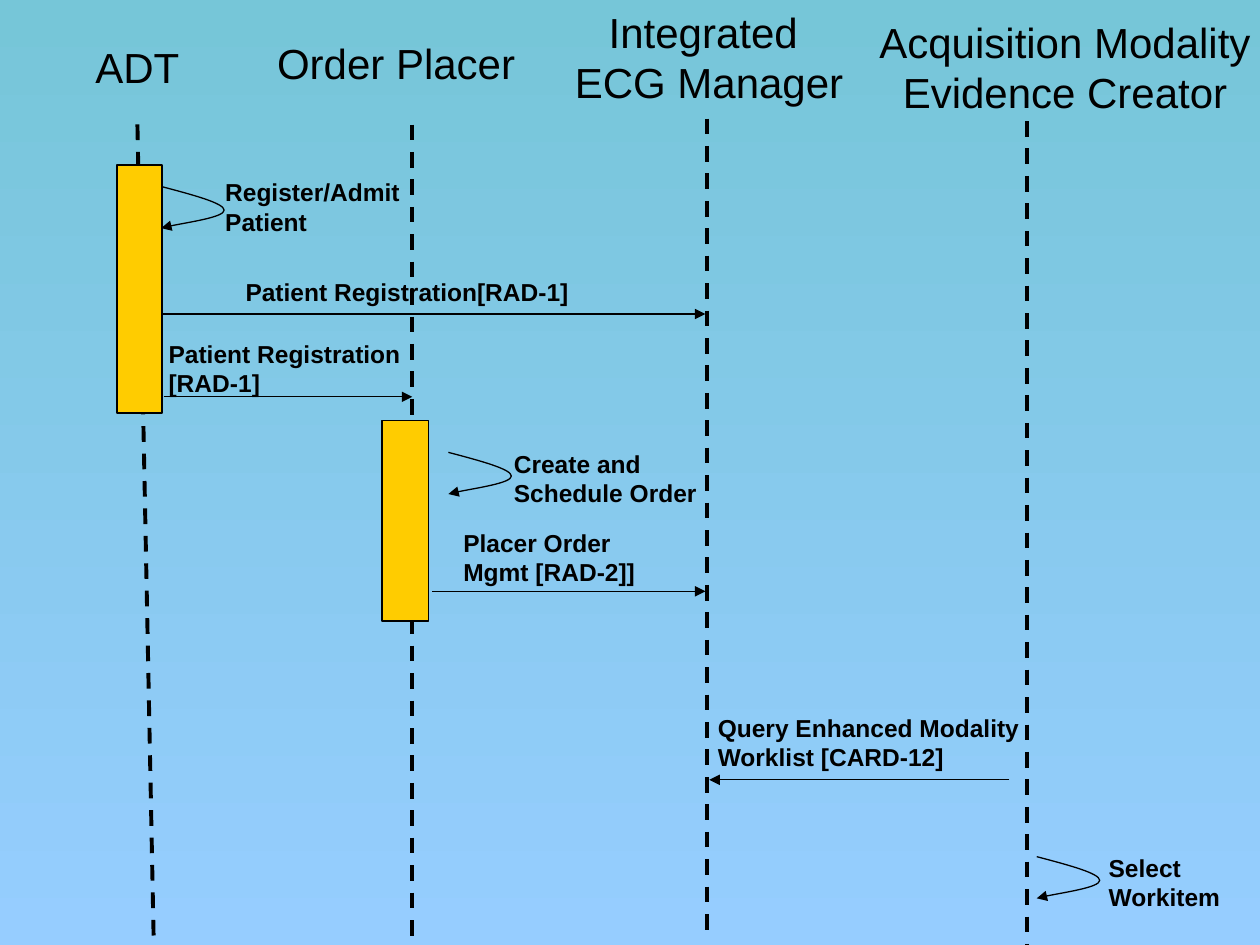
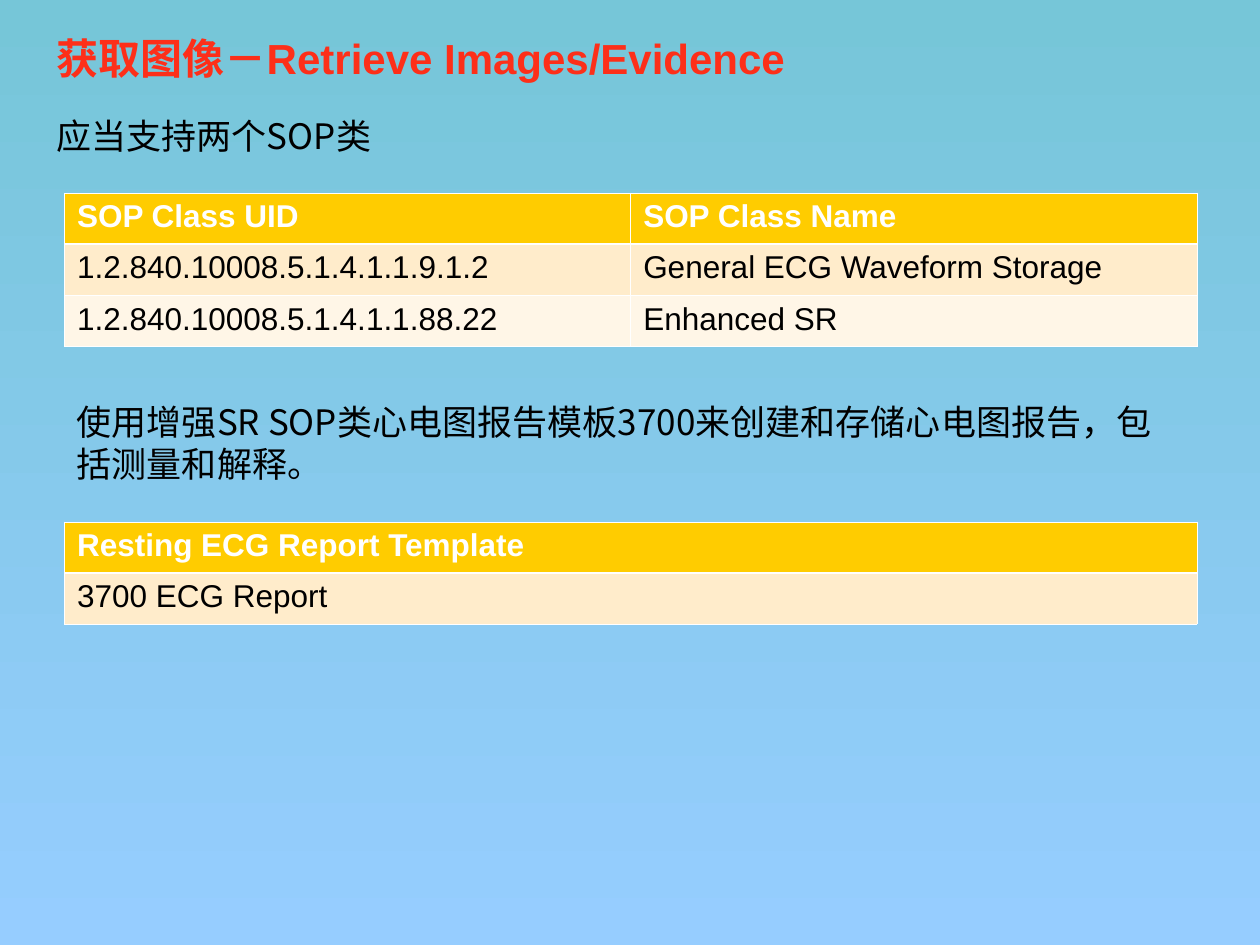
from dataclasses import dataclass
from typing import NamedTuple

from lxml.etree import SubElement
from pptx import Presentation
from pptx.dml.color import RGBColor
from pptx.enum.dml import MSO_LINE_DASH_STYLE as Dash
from pptx.enum.shapes import MSO_CONNECTOR as Conn, MSO_SHAPE as Shape
from pptx.enum.text import MSO_ANCHOR as Anchor, MSO_AUTO_SIZE as Auto, PP_ALIGN as Align
from pptx.oxml import parse_xml
from pptx.oxml.ns import nsdecls, qn
from pptx.util import Cm, Pt


@dataclass(frozen=True)
class Theme:
    sky_top: str = "76C6D8"
    sky_bottom: str = "96CDFF"
    ink: str = "000000"
    white: str = "FFFFFF"
    title: str = "FD2F19"
    gold: str = "FFCC00"
    bands: tuple = ("FFECCB", "FFF6E7")
    latin: str = "Arial"
    cjk: str = "Noto Sans CJK SC"
    heading_size: float = 24
    body_size: float = 20
    table_size: float = 18
    label_size: float = 14
    thin: float = 0.75
    thick: float = 2.25
    grid: float = 0.45
    header_rule: float = 1.47


class Box(NamedTuple):
    x: float
    y: float
    w: float
    h: float

    def emu(self):
        return [Cm(v) for v in self]


T = Theme()
LABEL_H = 1.45
LOOP_W, LOOP_H = 1.27, 0.84


def rgb(value):
    return RGBColor.from_string(value)


def write_text(tf, text, size=T.label_size, color=T.ink, bold=False,
               font=T.latin, align=Align.LEFT):
    for i, line in enumerate(text.split("\n")):
        p = tf.paragraphs[0] if i == 0 else tf.add_paragraph()
        p.alignment = align
        r = p.add_run()
        r.text = line
        f = r.font
        f.size, f.bold, f.name = Pt(size), bold, font
        f.color.rgb = rgb(color)
        SubElement(r._r.get_or_add_rPr(), qn("a:ea"), typeface=T.cjk)


def add_text(slide, box, text, side_margin=0.25, anchor=Anchor.TOP, **fmt):
    tf = slide.shapes.add_textbox(*box.emu()).text_frame
    tf.word_wrap = True
    tf.margin_left = tf.margin_right = Cm(side_margin)
    tf.vertical_anchor = anchor
    write_text(tf, text, **fmt)


def style_line(line, width, arrow=False):
    line.color.rgb = rgb(T.ink)
    line.width = Pt(width)
    if arrow:
        SubElement(line._get_or_add_ln(), qn("a:tailEnd"), type="triangle")


def add_line(slide, x1, y1, x2, y2, width=T.thin, arrow=False, dash=None):
    c = slide.shapes.add_connector(Conn.STRAIGHT, Cm(x1), Cm(y1), Cm(x2), Cm(y2))
    style_line(c.line, width, arrow)
    if dash:
        c.line.dash_style = dash
    SubElement(c._element.spPr, qn("a:effectLst"))


def add_lane(slide, box, name, line_x, line_top, line_bottom, drift=0):
    x, y = box.x + line_x, box.y
    add_line(slide, x, y + line_top, x + drift, y + line_bottom,
             width=T.thick, dash=Dash.DASH)
    add_text(slide, box, name, side_margin=0, size=T.heading_size, align=Align.CENTER)


def add_activation(slide, box):
    sp = slide.shapes.add_shape(Shape.RECTANGLE, *box.emu())
    sp.shadow.inherit = False
    sp.fill.solid()
    sp.fill.fore_color.rgb = rgb(T.gold)
    style_line(sp.line, T.thin)


def add_message(slide, box, text, start, end, drop):
    add_line(slide, box.x + start, box.y + drop, box.x + end, box.y + drop, arrow=True)
    add_text(slide, box, text, bold=True)


def add_self_call(slide, box, text, label_dx, label_dy, label_w):
    curve = [(0.5, 0.2), (1, 0.4), (1, 0.57), (1, 0.74), (0.17, 0.92), (0, 1)]
    points = [(Cm(box.x + fx * box.w), Cm(box.y + fy * box.h)) for fx, fy in curve]
    builder = slide.shapes.build_freeform(Cm(box.x), Cm(box.y))
    builder.add_line_segments(points, close=False)
    sp = builder.convert_to_shape()
    outline = next(sp._element.iter(qn("a:path")))
    segments = outline.findall(qn("a:lnTo"))
    for i in range(0, len(segments), 3):
        bezier = SubElement(outline, qn("a:cubicBezTo"))
        for segment in segments[i:i + 3]:
            bezier.append(segment[0])
            outline.remove(segment)
    sp.shadow.inherit = False
    sp.fill.background()
    style_line(sp.line, T.thin, arrow=True)
    add_text(slide, Box(box.x + label_dx, box.y + label_dy, label_w, LABEL_H),
             text, bold=True)


def style_cell(cell, text, row):
    header = row == 0
    cell.fill.solid()
    cell.fill.fore_color.rgb = rgb(T.gold if header else T.bands[(row - 1) % 2])
    write_text(cell.text_frame, text, size=T.table_size, bold=header,
               color=T.white if header else T.ink)
    widths = {"L": T.grid, "R": T.grid,
              "T": T.header_rule if row == 1 else T.grid,
              "B": T.header_rule if header else T.grid}
    tc_pr = cell._tc.get_or_add_tcPr()
    for i, (side, width) in enumerate(widths.items()):
        tc_pr.insert(i, parse_xml(
            f'<a:ln{side} {nsdecls("a")} w="{Pt(width)}"><a:solidFill>'
            f'<a:srgbClr val="{T.white}"/></a:solidFill></a:ln{side}>'))


def add_grid(slide, box, rows):
    table = slide.shapes.add_table(len(rows), len(rows[0]), *box.emu()).table
    table.horz_banding = False
    for i, row in enumerate(rows):
        for j, text in enumerate(row):
            style_cell(table.cell(i, j), text, i)


def add_title(slide, box, text):
    sp = slide.shapes.title
    sp.left, sp.top, sp.width, sp.height = box.emu()
    tf = sp.text_frame
    tf.auto_size = Auto.NONE
    tf.vertical_anchor = Anchor.MIDDLE
    write_text(tf, text, size=T.heading_size, color=T.title, bold=True)


def paint_background(master):
    fill = master.background.fill
    fill.gradient()
    fill.gradient_angle = 270
    for stop, color in zip(fill.gradient_stops, (T.sky_top, T.sky_bottom)):
        stop.color.rgb = rgb(color)


def sequence_slide(prs):
    slide = prs.slides.add_slide(prs.slide_layouts[6])
    lanes = [
        (Box(1.68, 0.71, 2.18, 1.27), "ADT", 1.09, 1.8, 18.34, 0.33),
        (Box(4.29, 0.64, 7.39, 1.27), "Order Placer", 4.02, 1.87, 18.41),
        (Box(10.69, 0, 7.21, 2.29), "Integrated \nECG Manager", 3.56, 2.39, 18.92),
        (Box(17.54, 0.2, 7.86, 2.29), "Acquisition Modality\nEvidence Creator",
         3.16, 2.24, 18.85),
    ]
    activations = [Box(2.36, 3.33, 0.91, 5), Box(7.7, 8.48, 0.94, 4.04)]
    messages = [
        (Box(4.7, 5.46, 8.94, 0.86), "Patient Registration[RAD-1]", -1.45, 9.52, 0.87),
        (Box(3.15, 6.71, 8.94, LABEL_H), "Patient Registration\n[RAD-1]", 0.15, 5.16, 1.29),
        (Box(9.09, 10.52, 4.2, LABEL_H), "Placer Order\nMgmt [RAD-2]]", -0.38, 5.13, 1.4),
        (Box(14.22, 14.25, 7.06, LABEL_H), "Query Enhanced Modality\nWorklist [CARD-12]",
         6.13, 0.08, 1.47),
    ]
    self_calls = [
        (3.25, 3.76, "Register/Admit\nPatient", 1.04, -0.31, 4.34),
        (9.04, 9.12, "Create and\nSchedule Order", 1.07, -0.2, 4.72),
        (20.9, 17.27, "Select\nWorkitem", 1.2, -0.2, 3.15),
    ]
    for lane in lanes:
        add_lane(slide, *lane)
    for box in activations:
        add_activation(slide, box)
    for message in messages:
        add_message(slide, *message)
    for x, y, *label in self_calls:
        add_self_call(slide, Box(x, y, LOOP_W, LOOP_H), *label)


def evidence_slide(prs):
    slide = prs.slides.add_slide(prs.slide_layouts[5])
    left, width, row_h = 1.3, 22.83, 1.03
    body = dict(size=T.body_size, font=T.cjk)
    classes = [
        ("SOP Class UID", "SOP Class Name"),
        ("1.2.840.10008.5.1.4.1.1.9.1.2", "General ECG Waveform Storage"),
        ("1.2.840.10008.5.1.4.1.1.88.22", "Enhanced SR"),
    ]
    templates = [("Resting ECG Report Template",), ("3700 ECG Report",)]
    add_title(slide, Box(0.89, 0, 22.66, 2.34), "获取图像－Retrieve Images/Evidence")
    add_text(slide, Box(0.89, 2.18, 23.24, 1.12), "应当支持两个SOP类",
             anchor=Anchor.MIDDLE, **body)
    add_text(slide, Box(left, 7.95, width, 1.96),
             "使用增强SR SOP类心电图报告模板3700来创建和存储心电图报告，包括测量和解释。", **body)
    for top, rows in ((3.89, classes), (10.52, templates)):
        add_grid(slide, Box(left, top, width, row_h * len(rows)), rows)


def main():
    prs = Presentation()
    prs.slide_width, prs.slide_height = Cm(25.4), Cm(19.05)
    paint_background(prs.slide_master)
    sequence_slide(prs)
    evidence_slide(prs)
    prs.save("out.pptx")


if __name__ == "__main__":
    main()
